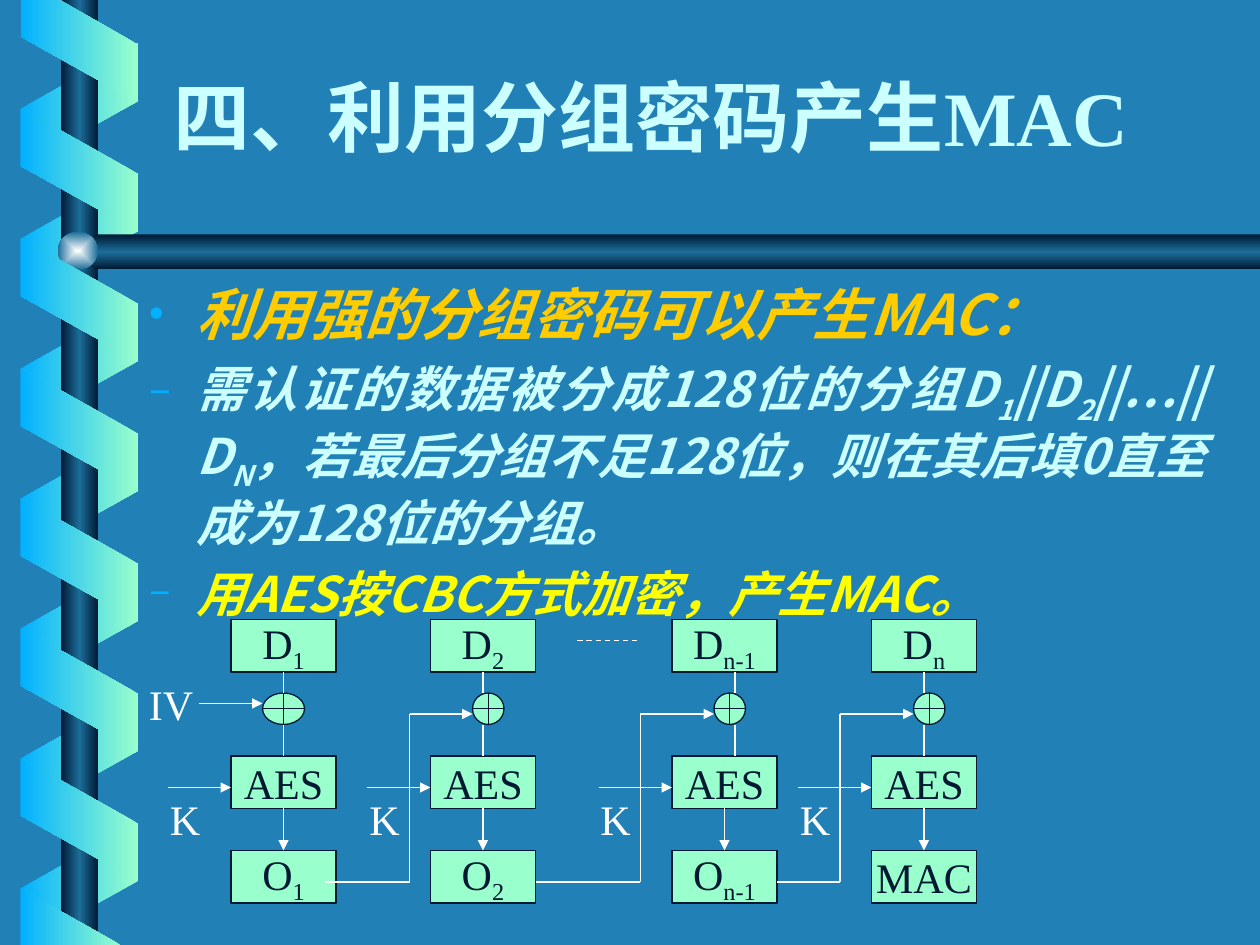
from pptx import Presentation
from pptx.dml.color import RGBColor
from pptx.enum.dml import MSO_LINE
from pptx.enum.shapes import MSO_CONNECTOR, MSO_SHAPE
from pptx.enum.text import MSO_ANCHOR, MSO_AUTO_SIZE, PP_ALIGN
from pptx.oxml import parse_xml
from pptx.oxml.ns import nsdecls, qn
from pptx.util import Pt

RECT, OVAL = MSO_SHAPE.RECTANGLE, MSO_SHAPE.OVAL
SLANT, XOR = MSO_SHAPE.PARALLELOGRAM, MSO_SHAPE.FLOWCHART_OR
LINE, DASH = MSO_CONNECTOR.STRAIGHT, MSO_LINE.DASH
LEFT, MID, JUST = PP_ALIGN.LEFT, PP_ALIGN.CENTER, PP_ALIGN.JUSTIFY
CENTER, BOTTOM, TOP = MSO_ANCHOR.MIDDLE, MSO_ANCHOR.BOTTOM, MSO_ANCHOR.TOP
FIXED = MSO_AUTO_SIZE.NONE

SANS, COND, SERIF = "Noto Sans CJK SC", "Roboto Condensed", "Times New Roman"
BLUE, MINT, NAVY, STEEL = "01B0FF", "99FFCC", "001932", "1C6D9A"
PALE, WHITE, GOLD, YELLOW = "CCFFFF", "FFFFFF", "FFCC00", "FFFF00"
PIPE = [(0, NAVY), (50, STEEL), (100, NAVY)]
FRONT, BACK = [(0, MINT), (100, BLUE)], [(0, BLUE), (100, MINT)]


def rgb(code):
    return RGBColor.from_string(code)


def place(shape, x, y, w, h):
    shape.left, shape.top, shape.width, shape.height = Pt(x), Pt(y), Pt(w), Pt(h)


def blend(shape, stops, angle=None):
    shape.shadow.inherit = False
    shape.line.fill.background()
    shape.fill.background()
    marks = "".join(
        f'<a:gs pos="{pos * 1000}"><a:srgbClr val="{code}"/></a:gs>'
        for pos, code in stops
    )
    if angle is None:
        mode = ('<a:path path="rect"><a:fillToRect l="50000" t="50000" '
                'r="50000" b="50000"/></a:path>')
    else:
        mode = f'<a:lin ang="{angle * 60000}" scaled="0"/>'
    props = shape._element.spPr
    props.replace(props.find(qn("a:noFill")), parse_xml(
        f'<a:gradFill {nsdecls("a")} rotWithShape="0">'
        f'<a:gsLst>{marks}</a:gsLst>{mode}</a:gradFill>'))


def solid(shapes, kind, x, y, w, h):
    shape = shapes.add_shape(kind, Pt(x), Pt(y), Pt(w), Pt(h))
    shape.shadow.inherit = False
    shape.fill.solid()
    shape.fill.fore_color.rgb = rgb(MINT)
    shape.line.color.rgb = rgb(NAVY)
    shape.line.width = Pt(0.75)
    return shape


def outline(shapes, points, stops, angle):
    pen = shapes.build_freeform(*points[0], scale=Pt(1))
    pen.add_line_segments(points[1:], close=True)
    blend(pen.convert_to_shape(), stops, angle)


def wire(shapes, x1, y1, x2, y2, arrow=False):
    line = shapes.add_connector(LINE, Pt(x1), Pt(y1), Pt(x2), Pt(y2))
    line.line.color.rgb = rgb(WHITE)
    line.line.width = Pt(0.75)
    if arrow:
        line.line._get_or_add_ln().append(
            parse_xml(f'<a:tailEnd {nsdecls("a")} type="triangle"/>'))
    line._element.spPr.append(parse_xml(f'<a:effectLst {nsdecls("a")}/>'))
    return line


def write(para, text, size, face, color, bold=False, slope=False, sub=False):
    run = para.add_run()
    run.text = text
    font = run.font
    font.size, font.name, font.bold, font.italic = Pt(size), face, bold, slope
    font.color.rgb = rgb(color)
    props = run._r.get_or_add_rPr()
    if sub:
        props.set("baseline", "-25000")
    props.find(qn("a:latin")).addnext(
        parse_xml(f'<a:ea {nsdecls("a")} typeface="{SANS}"/>'))


def ribbon(shapes, x, y, back):
    band = shapes.add_shape(SLANT, Pt(x), Pt(y), Pt(70.5), Pt(67))
    band.adjustments[0] = 0.56
    band.rotation = 90 if back else 270
    if back:
        band._element.spPr.find(qn("a:xfrm")).set("flipH", "1")
    blend(band, BACK if back else FRONT, 180)


def spiral(shapes, x, y, w, h):
    step = 74.25
    for i in range(7):
        ribbon(shapes, x + 10, y + 26.5 + i * step, True)
    post = shapes.add_shape(RECT, Pt(x + 34.7), Pt(y), Pt(21.6), Pt(h))
    blend(post, PIPE, 180)
    outline(shapes, [(x + w, y + 134), (x + 54.7, y + 134), (x + 43.2, y + 144),
                     (x + 54.7, y + 154), (x + w, y + 154)], PIPE, 90)
    knob = shapes.add_shape(OVAL, Pt(x + 33), Pt(y + 132.5), Pt(23), Pt(21.6))
    blend(knob, [(0, "FEFFFF"), (100, STEEL)])
    for i in range(6):
        ribbon(shapes, x + 10, y + 63.5 + i * step, False)
    outline(shapes, [(x + 12, y), (x + 12, y + 21), (x + 78.5, y + 58),
                     (x + 78.5, y + 25), (x + 34, y)], FRONT, 180)
    outline(shapes, [(x + 69, y + h - 0.5), (x + 12, y + h - 32.4),
                     (x + 11.7, y + h)], FRONT, 180)


def heading(title, x, y, w, h):
    place(title, x, y, w, h)
    frame = title.text_frame
    frame.auto_size, frame.vertical_anchor = FIXED, BOTTOM
    para = frame.paragraphs[0]
    para.alignment = MID
    for text, face in [("四", SANS), ("、利用分组密码产生", COND), ("MAC", SERIF)]:
        write(para, text, 44, face, PALE, bold=True)


def points(body, x, y, w, h):
    place(body, x, y, w, h)
    frame = body.text_frame
    frame.auto_size, frame.vertical_anchor = FIXED, TOP
    items = [
        ("•", 32, GOLD, ["利用强的分组密码可以产生MAC："]),
        ("−", 28, PALE, ["需认证的数据被分成128位的分组D", "1", "||D", "2", "||…||D", "N",
                         "，若最后分组不足128位，则在其后填0直至成为128位的分组。"]),
        ("−", 28, YELLOW, ["用AES按CBC方式加密，产生MAC。"]),
    ]
    for i, (mark, size, color, parts) in enumerate(items):
        para = frame.add_paragraph() if i else frame.paragraphs[0]
        para.alignment = JUST
        para.space_before = Pt(7 if i else 0)
        props = para._p.get_or_add_pPr()
        props.set("marL", str(Pt(27)))
        props.set("indent", str(Pt(-27)))
        for tag in (f'<a:buClr {nsdecls("a")}><a:srgbClr val="{BLUE}"/></a:buClr>',
                    f'<a:buSzPct {nsdecls("a")} val="75000"/>',
                    f'<a:buChar {nsdecls("a")} char="{mark}"/>'):
            props.append(parse_xml(tag))
        for j, text in enumerate(parts):
            write(para, text, size, SANS, color, True, True, sub=j % 2 == 1)


def block(shapes, x, y, name, sub=""):
    frame = solid(shapes, RECT, x, y, 60, 30).text_frame
    frame.word_wrap, frame.vertical_anchor = False, CENTER
    para = frame.paragraphs[0]
    para.alignment = MID
    write(para, name, 24, SERIF, NAVY)
    if sub:
        write(para, sub, 24, SERIF, NAVY, sub=True)


def label(shapes, x, y, w, text):
    frame = shapes.add_textbox(Pt(x), Pt(y), Pt(w), Pt(36)).text_frame
    frame.word_wrap = True
    para = frame.paragraphs[0]
    para.alignment = LEFT
    write(para, text, 24, SERIF, WHITE)


def stage(shapes, x, y, sub, end, lead, drop, ring):
    block(shapes, x, y, "D", sub)
    block(shapes, x, y + 78, "AES")
    block(shapes, x, y + 132, *end)
    solid(shapes, XOR, x + ring[0], y + 42, ring[1], 18)
    wire(shapes, x + drop, y + 30, x + drop, y + 42)
    wire(shapes, x + drop, y + 60, x + drop, y + 78)
    wire(shapes, x + 30, y + 108, x + 30, y + 132, True)
    wire(shapes, x - lead, y + 96, x, y + 96, True)
    label(shapes, x - lead - 6, y + 96, 36, "K")


def chain(shapes, x, y):
    stages = [
        (54, "1", ("O", "1"), 36, 30, (18, 24)),
        (168, "2", ("O", "2"), 36, 30, (24, 18)),
        (306, "n-1", ("O", "n-1"), 42, 36, (24, 18)),
        (420, "n", ("MAC",), 42, 30, (24, 18)),
    ]
    for left, *rest in stages:
        stage(shapes, x + left, y, *rest)
    for start, turn, stop in [(108, 156, 192), (228, 288, 330), (366, 402, 444)]:
        wire(shapes, x + turn, y + 150, x + start, y + 150)
        wire(shapes, x + turn, y + 54, x + turn, y + 150)
        wire(shapes, x + turn, y + 54, x + stop, y + 54, True)
    label(shapes, x, y + 30, 54, "IV")
    wire(shapes, x + 36, y + 48, x + 72, y + 48, True)
    wire(shapes, x + 252, y + 12, x + 288, y + 12).line.dash_style = DASH


def main():
    deck = Presentation()
    deck.slide_width, deck.slide_height = Pt(720), Pt(540)
    slide = deck.slides.add_slide(deck.slide_layouts[1])
    slide.background.fill.solid()
    slide.background.fill.fore_color.rgb = rgb("2181B7")
    shapes = slide.shapes
    title, body = slide.placeholders
    spiral(shapes, 0, 0, 720, 540)
    for holder in (title, body):
        shapes._spTree.append(holder._element)
    heading(title, 66, 30, 612, 66)
    points(body, 78, 156, 618, 354)
    chain(shapes, 78, 354)
    deck.save("out.pptx")


if __name__ == "__main__":
    main()
